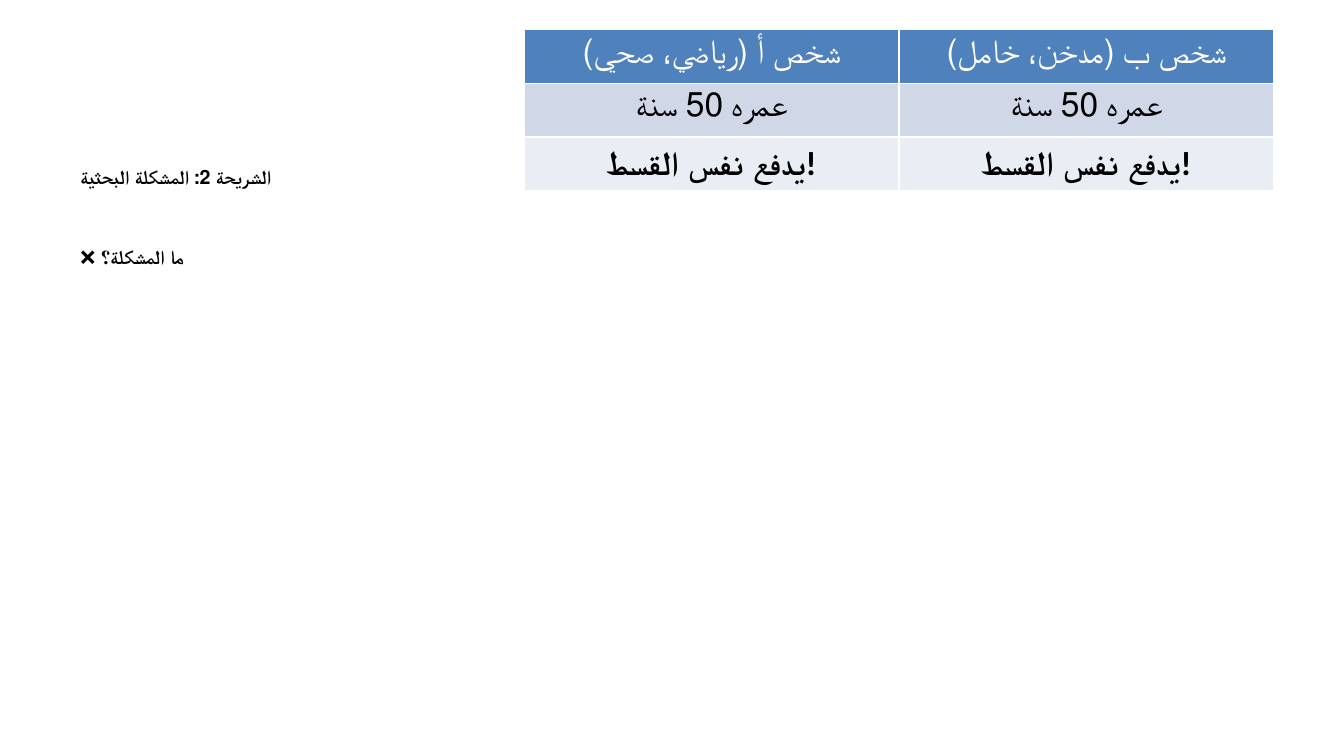
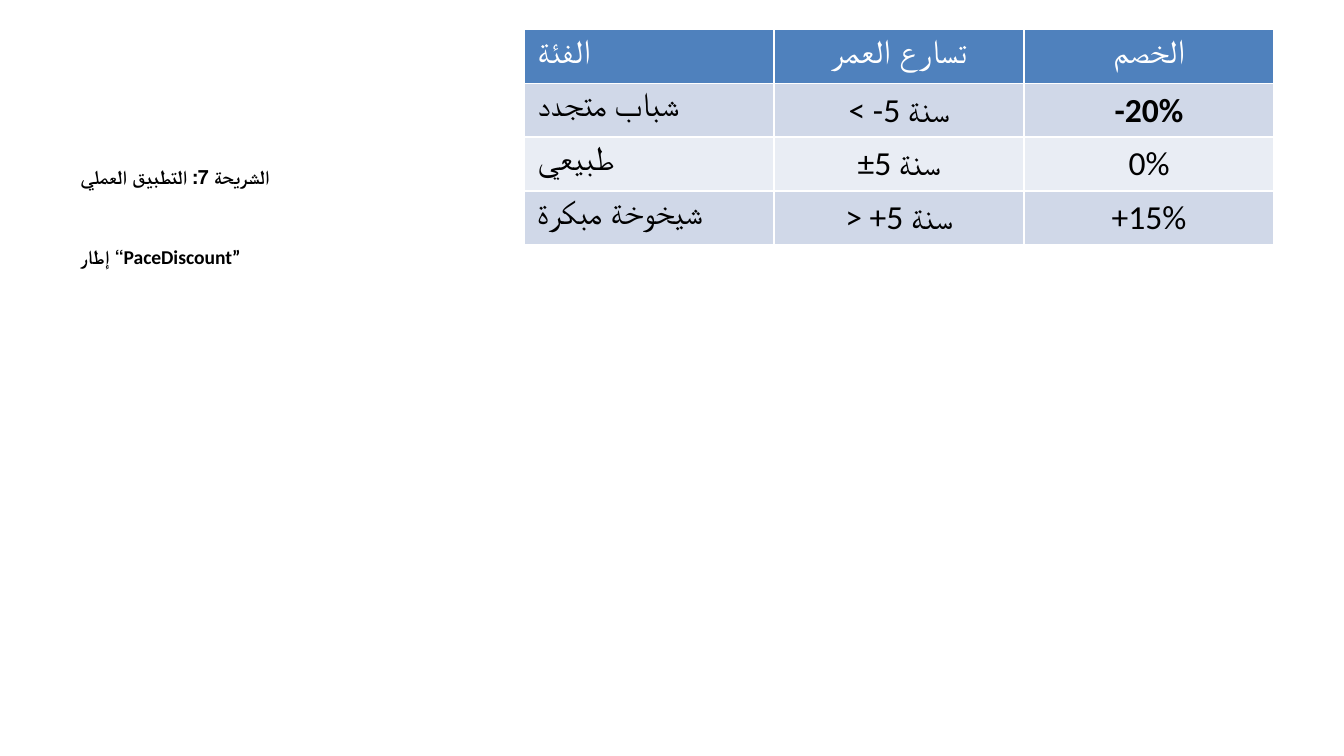
from pptx import Presentation
from pptx.dml.color import RGBColor
from pptx.enum.text import PP_ALIGN
from pptx.util import Inches, Pt

WHITE = RGBColor(0xFF, 0xFF, 0xFF)
BLACK = RGBColor(0x00, 0x00, 0x00)
HEADER_BLUE = RGBColor(0x4F, 0x81, 0xBD)
BAND_FILLS = (RGBColor(0xD0, 0xD8, 0xE8), RGBColor(0xE9, 0xED, 0xF4))
FONT = "Calibri"
BODY_SIZE = 10.5
TABLE_SIZE = 18
CENTER = PP_ALIGN.CENTER
LEFT = PP_ALIGN.LEFT

PROBLEM_CAPTIONS = ("الشريحة 2: المشكلة البحثية", "❌ ما المشكلة؟")
PROBLEM_ROWS = (
    ("شخص أ (رياضي، صحي)", "شخص ب (مدخن، خامل)"),
    ("عمره 50 سنة", "عمره 50 سنة"),
    ("يدفع نفس القسط!", "يدفع نفس القسط!"),
)
DISCOUNT_CAPTIONS = ("الشريحة 7: التطبيق العملي", "إطار “PaceDiscount”")
DISCOUNT_ROWS = (
    ("الفئة", "تسارع العمر", "الخصم"),
    ("شباب متجدد", "< -5 سنة", "-20%"),
    ("طبيعي", "±5 سنة", "0%"),
    ("شيخوخة مبكرة", "> +5 سنة", "+15%"),
)


def add_run(paragraph, text, size, color, bold):
    """Append one formatted run to a paragraph."""
    run = paragraph.add_run()
    run.text = text
    run.font.name = FONT
    run.font.size = Pt(size)
    run.font.bold = bold
    run.font.color.rgb = color


def add_captions(slide, captions):
    """Write the bold captions in the left column."""
    shape = slide.shapes.add_textbox(Inches(0.5), Inches(1.18), Inches(3.29), Inches(3.85))
    frame = shape.text_frame
    frame.word_wrap = True
    for index, caption in enumerate(captions):
        paragraph = frame.add_paragraph() if index else frame.paragraphs[0]
        paragraph.space_before = Pt(30)
        add_run(paragraph, caption, BODY_SIZE, BLACK, True)


def add_data_table(slide, rows, height, alignments, bold_cells):
    """Add a banded table whose rows grow to fit their text."""
    shape = slide.shapes.add_table(
        len(rows), len(rows[0]), Inches(3.9), Inches(0.22), Inches(5.58), Inches(height)
    )
    table = shape.table
    for row_index, row in enumerate(rows):
        is_header = row_index == 0
        fill_color = HEADER_BLUE if is_header else BAND_FILLS[(row_index - 1) % 2]
        text_color = WHITE if is_header else BLACK
        table.rows[row_index].height = Inches(0)
        for column_index, text in enumerate(row):
            cell = table.cell(row_index, column_index)
            cell.fill.solid()
            cell.fill.fore_color.rgb = fill_color
            paragraph = cell.text_frame.paragraphs[0]
            paragraph.alignment = alignments[column_index]
            add_run(paragraph, text, TABLE_SIZE, text_color,
                    (row_index, column_index) in bold_cells)
    shape.height = Inches(height)


def add_comparison_slide(presentation, captions, rows, height, alignments, bold_cells):
    """Add a slide with captions on the left and a table on the right."""
    slide = presentation.slides.add_slide(presentation.slide_layouts[6])
    slide.background.fill.solid()
    slide.background.fill.fore_color.rgb = WHITE
    add_captions(slide, captions)
    add_data_table(slide, rows, height, alignments, bold_cells)


def main():
    """Build and save the two slides."""
    presentation = Presentation()
    presentation.slide_width = Inches(10)
    presentation.slide_height = Inches(10 * 9 / 16)
    add_comparison_slide(presentation, PROBLEM_CAPTIONS, PROBLEM_ROWS, 0.97,
                         (CENTER, CENTER), {(2, 0), (2, 1)})
    add_comparison_slide(presentation, DISCOUNT_CAPTIONS, DISCOUNT_ROWS, 1.3,
                         (LEFT, CENTER, CENTER), {(1, 2)})
    presentation.save("out.pptx")


if __name__ == "__main__":
    main()
